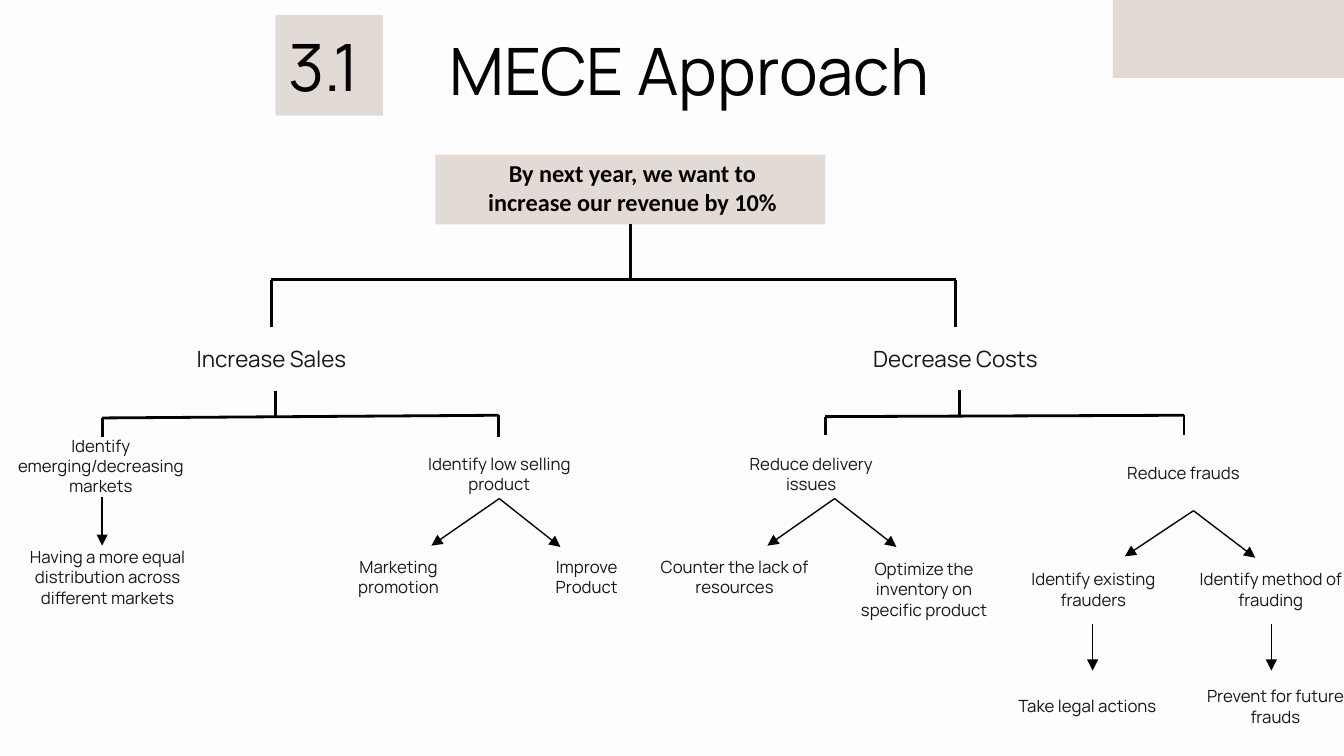
from pptx import Presentation
from pptx.dml.color import RGBColor as RGB
from pptx.enum.shapes import MSO_CONNECTOR as CONNECTOR, MSO_SHAPE as SHAPE
from pptx.enum.text import MSO_ANCHOR as ANCHOR, PP_ALIGN as ALIGN
from pptx.util import Emu, Pt
from lxml.etree import SubElement
from pptx.oxml.ns import qn

PX = 9144  # 100 px to the inch
theme = {
    "paper": RGB.from_string("FDFDFD"),
    "sand": RGB.from_string("E2DAD4"),
    "ink": RGB.from_string("040202"),
    "title": {"name": "Manrope", "size": Pt(35)},
    "goal": {"name": "Calibri", "size": Pt(13), "bold": True},
    "branch": {"name": "Manrope", "size": Pt(12)},
    "leaf": {"name": "Manrope", "size": Pt(9)},
    "body": RGB.from_string("181717"),
    "bracket": Pt(1.5),
    "arrow": Pt(0.75),
}

# Slide in 16:9
presentation = Presentation()
presentation.slide_width = Emu(1000 * PX)
presentation.slide_height = Emu(1000 * PX * 9 // 16)
slide = presentation.slides.add_slide(presentation.slide_layouts[6])
slide.background.fill.solid()
slide.background.fill.fore_color.rgb = theme["paper"]


def write(shape, text, style, color, align=ALIGN.CENTER, anchor=ANCHOR.MIDDLE):
    frame = shape.text_frame
    margins = {f"margin_{side}": Emu(10 * PX) for side in ("left", "top", "right", "bottom")}
    for key, value in {"word_wrap": True, "vertical_anchor": anchor, **margins}.items():
        setattr(frame, key, value)
    frame.text = text
    for paragraph in frame.paragraphs:
        paragraph.alignment = align
        paragraph.font.color.rgb = color
        for key, value in theme[style].items():
            setattr(paragraph.font, key, value)


def connect(x1, y1, x2, y2, width, source=None):
    ends = [Emu(value * PX) for value in (x1, y1, x2, y2)]
    connector = slide.shapes.add_connector(CONNECTOR.STRAIGHT, *ends)
    connector.line.color.rgb = theme["ink"]
    connector.line.width = width
    SubElement(connector._element.spPr, qn("a:effectLst"))
    if source is not None:
        connector.begin_connect(source, 2)
    return connector


# Sand panels: corner, goal and section number
panels = []
for box in [(828, 0, 172, 58), (324, 115, 290, 52), (205, 11, 80, 75)]:
    panel = slide.shapes.add_shape(SHAPE.RECTANGLE, *[Emu(value * PX) for value in box])
    panel.shadow.inherit = False
    panel.fill.solid()
    panel.fill.fore_color.rgb = theme["sand"]
    panel.line.fill.background()
    panels.append(panel)
corner, goal, number = panels
write(number, "3.1", "title", theme["ink"], ALIGN.LEFT)

# Title and goal
for text, box, style, anchor in [
    ("MECE Approach", (183, -13, 660, 129), "title", ANCHOR.MIDDLE),
    ("By next year, we want to increase our revenue by 10%", (337, 108, 267, 43), "goal", ANCHOR.TOP),
]:
    heading = slide.shapes.add_textbox(*[Emu(value * PX) for value in box])
    write(heading, text, style, theme["ink"], anchor=anchor)

# Tree labels: text, left, top, width, style
labels = {}
for text, left, top, width, style in [
    ("Increase Sales", 100, 248, 204, "branch"),
    ("Decrease Costs", 609, 248, 204, "branch"),
    ("Identify emerging/decreasing markets", -13, 328, 176, "leaf"),
    ("Identify low selling product", 306, 334, 131, "leaf"),
    ("Reduce delivery issues", 538, 334, 131, "leaf"),
    ("Reduce frauds", 825, 333, 111, "leaf"),
    ("Having a more equal distribution across different markets", -9, 411, 178, "leaf"),
    ("Marketing promotion", 231, 411, 131, "leaf"),
    ("Improve\nProduct", 371, 411, 131, "leaf"),
    ("Counter the lack of resources", 481, 411, 131, "leaf"),
    ("Optimize the inventory on specific product", 622, 420, 131, "leaf"),
    ("Identify existing frauders", 748, 420, 131, "leaf"),
    ("Identify method of frauding", 880, 420, 131, "leaf"),
    ("Take legal actions", 719, 507, 180, "leaf"),
    ("Prevent for future frauds", 886, 507, 126, "leaf"),
]:
    label = slide.shapes.add_textbox(*[Emu(value * PX) for value in (left, top, width, 37)])
    write(label, text, style, theme["body"])
    labels[text] = label

# Brackets: stem x, stem top, bar y at left and right, bar ends, foot
for stem, top, left_y, right_y, left, right, foot, source in [
    (469, 167, 208, 208, 202, 711, 243, goal),
    (205, 291, 311, 309, 76, 371, 325, None),
    (714, 290, 310, 309, 614, 881, 324, None),
]:
    connect(stem, top, stem, (left_y + right_y) // 2, theme["bracket"], source)
    connect(left, left_y, right, right_y, theme["bracket"])
    connect(left, left_y, left, foot, theme["bracket"])
    connect(right, right_y, right, foot, theme["bracket"])

# Arrows from each issue to its actions
product = labels["Identify low selling product"]
for x1, y1, x2, y2, source in [
    (76, 370, 76, 406, None),
    (371, 371, 321, 406, product),
    (371, 371, 417, 407, product),
    (621, 371, 571, 406, None),
    (621, 371, 667, 407, None),
    (888, 380, 837, 414, None),
    (888, 380, 934, 415, None),
    (813, 464, 813, 499, None),
    (946, 464, 946, 499, None),
]:
    arrow = connect(x1, y1, x2, y2, theme["arrow"], source)
    SubElement(arrow.line._get_or_add_ln(), qn("a:tailEnd"), type="triangle")

presentation.save("out.pptx")
